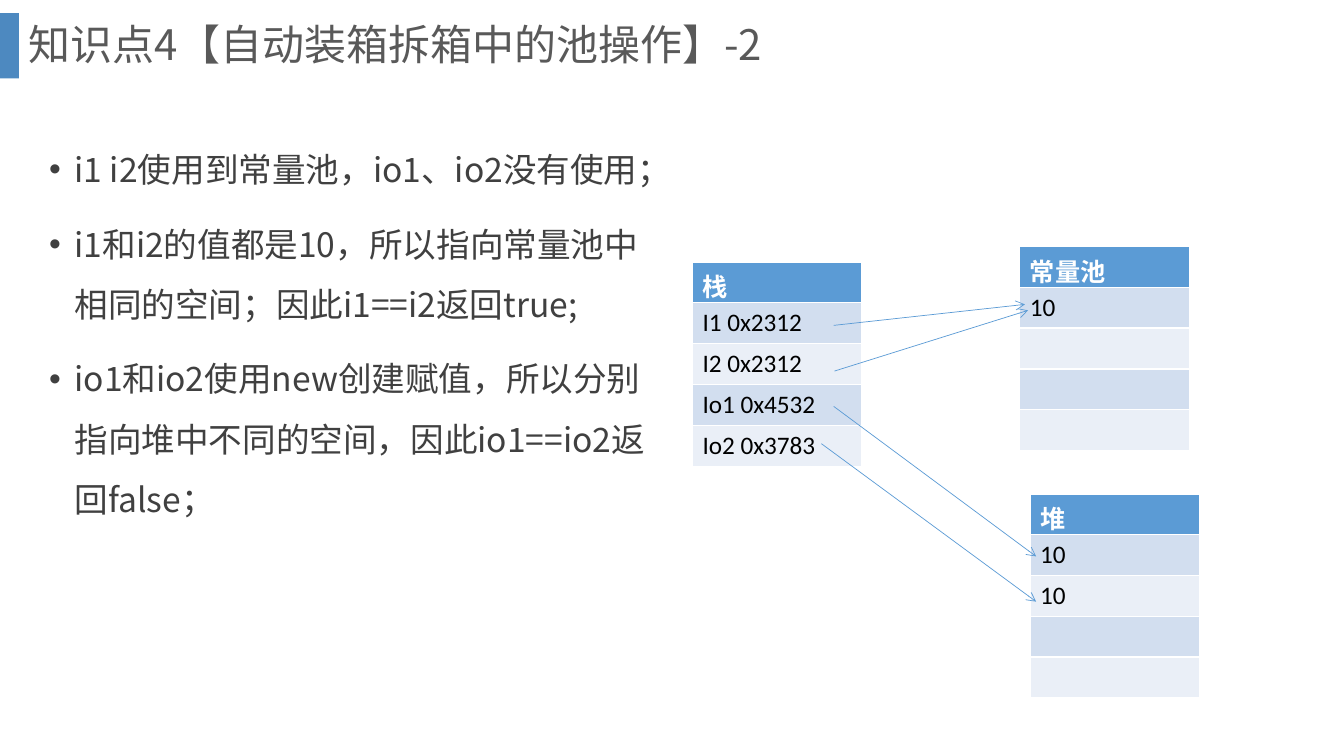
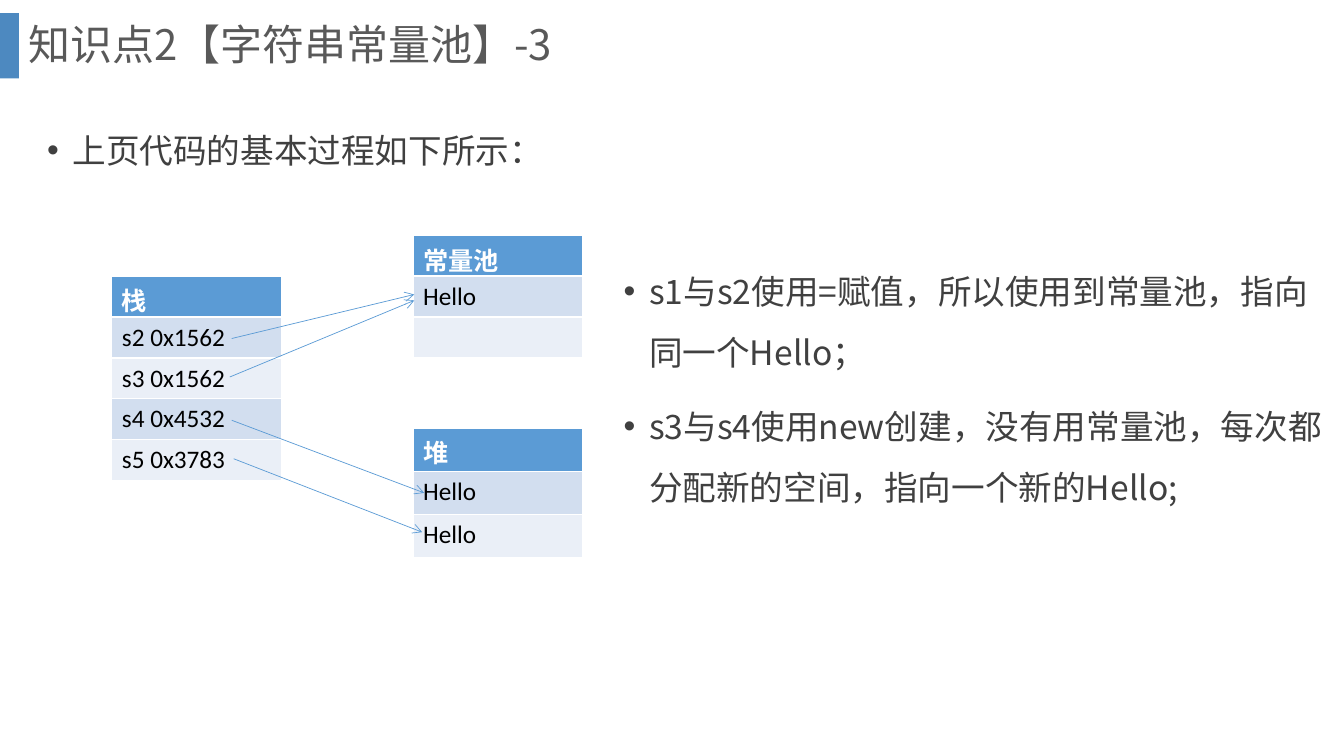
from dataclasses import dataclass

from lxml.etree import SubElement
from pptx import Presentation
from pptx.dml.color import RGBColor
from pptx.enum.shapes import MSO_CONNECTOR as Connector, MSO_SHAPE as Preset
from pptx.enum.text import MSO_ANCHOR as Anchor
from pptx.oxml.ns import qn
from pptx.slide import Slide
from pptx.text.text import TextFrame, _Paragraph as Paragraph
from pptx.util import Cm, Pt

WHITE = RGBColor(0xFF, 0xFF, 0xFF)
BLACK = RGBColor(0x00, 0x00, 0x00)
TITLE_GRAY = RGBColor(0x59, 0x59, 0x59)
BODY_GRAY = RGBColor(0x40, 0x40, 0x40)
ACCENT = RGBColor(0x2E, 0x75, 0xB6)
BLUE = RGBColor(0x5B, 0x9B, 0xD5)
BANDS = (RGBColor(0xD2, 0xDE, 0xEF), RGBColor(0xEA, 0xEF, 0xF7))

TEXT_FONT = "Noto Sans CJK SC"
TABLE_FONT = "Calibri"
TABLE_WIDTH = 4.27
INDENT = Cm(0.64)


@dataclass(frozen=True)
class Box:
    left: float
    top: float
    width: float
    height: float


@dataclass(frozen=True)
class BulletList:
    box: Box
    items: tuple[str, ...]


@dataclass(frozen=True)
class MemoryTable:
    left: float
    top: float
    rows: tuple[str, ...]
    header_height: float = 1.03
    row_height: float = 1.03


@dataclass(frozen=True)
class Arrow:
    start: tuple[float, float]
    end: tuple[float, float]


@dataclass(frozen=True)
class Page:
    title: str
    bullet_lists: tuple[BulletList, ...]
    tables: tuple[MemoryTable, ...]
    arrows: tuple[Arrow, ...]


BAR_BOX = Box(0, 0.33, 0.48, 1.65)
TITLE_BOX = Box(0.48, 0, 32.16, 2.36)

PAGES = (
    Page(
        "知识点4【自动装箱拆箱中的池操作】-2",
        (
            BulletList(
                Box(0.99, 3.12, 15.62, 10.72),
                (
                    "i1 i2使用到常量池，io1、io2没有使用；",
                    "i1和i2的值都是10，所以指向常量池中相同的空间；因此i1==i2返回true;",
                    "io1和io2使用new创建赋值，所以分别指向堆中不同的空间，因此io1==io2返回false；",
                ),
            ),
        ),
        (
            MemoryTable(17.45, 6.6, ("栈", "I1 0x2312", "I2 0x2312", "Io1 0x4532", "Io2 0x3783")),
            MemoryTable(25.96, 12.45, ("堆", "10", "10", "", ""), header_height=1),
            MemoryTable(25.7, 6.22, ("常量池", "10", "", "", ""), header_height=0.71),
        ),
        (
            Arrow((21.01, 8.2), (25.83, 7.67)),
            Arrow((21.03, 9.35), (25.91, 7.82)),
            Arrow((21.01, 10.24), (26.11, 14.02)),
            Arrow((20.7, 11.18), (26.11, 15.16)),
        ),
    ),
    Page(
        "知识点2【字符串常量池】-3",
        (
            BulletList(Box(0.94, 2.64, 32.92, 2.08), ("上页代码的基本过程如下所示：",)),
            BulletList(
                Box(15.47, 6.2, 18.39, 7.26),
                (
                    "s1与s2使用=赋值，所以使用到常量池，指向同一个Hello；",
                    "s3与s4使用new创建，没有用常量池，每次都分配新的空间，指向一个新的Hello;",
                ),
            ),
        ),
        (
            MemoryTable(2.82, 6.96, ("栈", "s2 0x1562", "s3 0x1562", "s4 0x4532", "s5 0x3783")),
            MemoryTable(10.41, 10.8, ("堆", "Hello", "Hello"), header_height=1.08, row_height=1.08),
            MemoryTable(10.41, 5.94, ("常量池", "Hello", ""), header_height=0.71),
        ),
        (
            Arrow((5.84, 8.53), (10.44, 7.42)),
            Arrow((5.79, 9.5), (10.44, 7.57)),
            Arrow((5.84, 10.59), (10.69, 12.42)),
            Arrow((5.89, 11.56), (10.64, 13.41)),
        ),
    ),
)


def lengths(box: Box) -> tuple[Cm, Cm, Cm, Cm]:
    return Cm(box.left), Cm(box.top), Cm(box.width), Cm(box.height)


def style_text(paragraph: Paragraph, name: str, size: int, color: RGBColor) -> None:
    font = paragraph.font
    font.name = name
    font.size = Pt(size)
    font.color.rgb = color
    properties = paragraph._p.get_or_add_pPr().find(qn("a:defRPr"))
    SubElement(properties, qn("a:ea"), typeface=TEXT_FONT)


def add_text_frame(slide: Slide, box: Box) -> TextFrame:
    frame = slide.shapes.add_textbox(*lengths(box)).text_frame
    frame.word_wrap = True
    return frame


def add_title(slide: Slide, title: str) -> None:
    bar = slide.shapes.add_shape(Preset.RECTANGLE, *lengths(BAR_BOX))
    bar.shadow.inherit = False
    bar.fill.solid()
    bar.fill.fore_color.rgb = ACCENT
    bar.line.fill.background()
    color = bar._element.spPr.find(qn("a:solidFill")).find(qn("a:srgbClr"))
    SubElement(color, qn("a:alpha"), val="85000")

    frame = add_text_frame(slide, TITLE_BOX)
    frame.vertical_anchor = Anchor.MIDDLE
    paragraph = frame.paragraphs[0]
    paragraph.text = title
    paragraph.line_spacing = 0.9
    style_text(paragraph, TEXT_FONT, 30, TITLE_GRAY)


def add_bullets(slide: Slide, bullets: BulletList) -> None:
    frame = add_text_frame(slide, bullets.box)
    frame.text = "\n".join(bullets.items)
    for paragraph in frame.paragraphs:
        properties = paragraph._p.get_or_add_pPr()
        properties.set("marL", str(INDENT))
        properties.set("indent", str(-INDENT))
        SubElement(properties, qn("a:buFont"), typeface="Arial")
        SubElement(properties, qn("a:buChar"), char="•")
        paragraph.line_spacing = 1.5
        paragraph.space_before = Pt(10)
        style_text(paragraph, TEXT_FONT, 24, BODY_GRAY)


def add_memory_table(slide: Slide, memory: MemoryTable) -> None:
    height = memory.header_height + memory.row_height * (len(memory.rows) - 1)
    box = Box(memory.left, memory.top, TABLE_WIDTH, height)
    table = slide.shapes.add_table(len(memory.rows), 1, *lengths(box)).table
    for index, text in enumerate(memory.rows):
        is_header = index == 0
        table.rows[index].height = Cm(memory.header_height if is_header else memory.row_height)
        cell = table.cell(index, 0)
        cell.fill.solid()
        cell.fill.fore_color.rgb = BLUE if is_header else BANDS[(index - 1) % 2]
        if text:
            cell.text = text
            paragraph = cell.text_frame.paragraphs[0]
            paragraph.font.bold = is_header
            style_text(paragraph, TABLE_FONT, 18, WHITE if is_header else BLACK)


def add_arrow(slide: Slide, arrow: Arrow) -> None:
    points = (Cm(value) for value in (*arrow.start, *arrow.end))
    connector = slide.shapes.add_connector(Connector.STRAIGHT, *points)
    connector.line.color.rgb = BLUE
    connector.line.width = Pt(0.5)
    SubElement(connector.line._get_or_add_ln(), qn("a:tailEnd"), type="arrow")
    SubElement(connector._element.spPr, qn("a:effectLst"))


def add_page(slide: Slide, page: Page) -> None:
    add_title(slide, page.title)
    for bullets in page.bullet_lists:
        add_bullets(slide, bullets)
    for memory in page.tables:
        add_memory_table(slide, memory)
    for arrow in page.arrows:
        add_arrow(slide, arrow)


presentation = Presentation()
presentation.slide_width = Cm(33.87)
presentation.slide_height = Cm(19.05)
blank_layout = presentation.slide_layouts[6]
for page in PAGES:
    add_page(presentation.slides.add_slide(blank_layout), page)
presentation.save("out.pptx")
